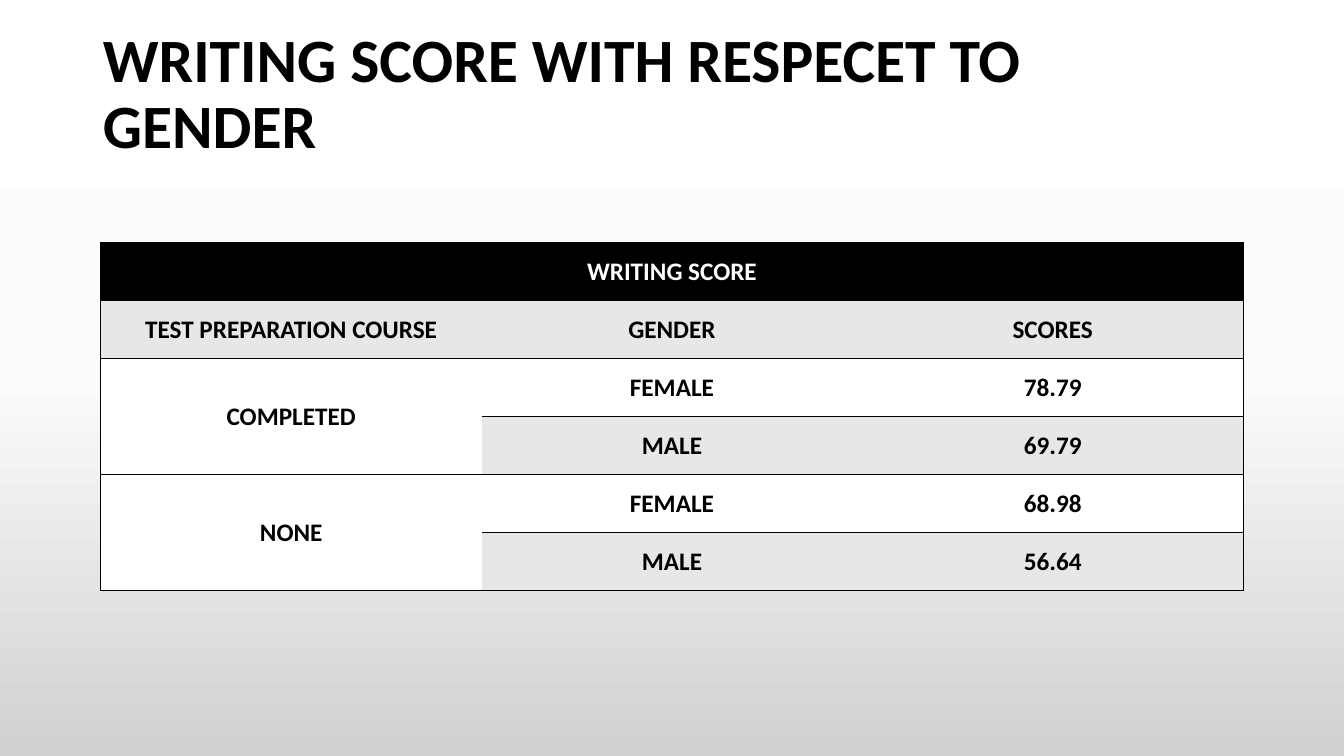
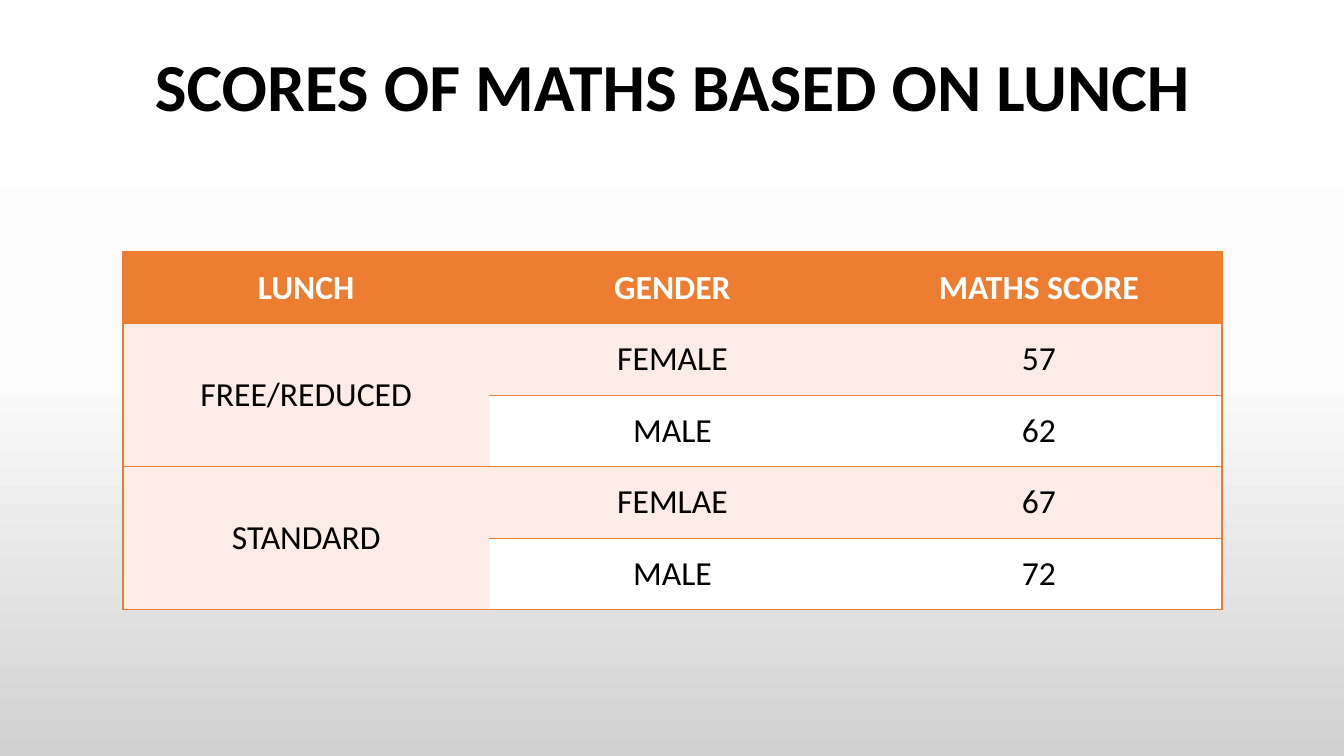
from lxml import etree
from pptx import Presentation
from pptx.dml.color import RGBColor
from pptx.enum import text
from pptx.oxml import parse_xml
from pptx.oxml.ns import nsdecls, qn
from pptx.util import Inches, Pt

FONT = "Calibri"
BLACK = RGBColor(0x00, 0x00, 0x00)
WHITE = RGBColor(0xFF, 0xFF, 0xFF)
GREY = RGBColor(0xE7, 0xE7, 0xE7)
ORANGE = RGBColor(0xED, 0x7D, 0x31)
PEACH = RGBColor(0xFC, 0xEC, 0xE8)
BACKGROUND = [(0, WHITE), (50, RGBColor(0xFB, 0xFB, 0xFB)), (100, RGBColor(0xD1, 0xD1, 0xD1))]

# None marks a cell covered by its neighbour: above in the first column, left elsewhere.
SLIDES = [
    dict(
        title="WRITING SCORE WITH RESPECET TO GENDER",
        title_size=44, title_height=1.1, title_align=text.PP_ALIGN.LEFT,
        left=1, top=2.41, width=11.33, row_height=0.575,
        size=18, bold_body=True, accent=BLACK, bands=(GREY, WHITE),
        rows=[
            ("WRITING SCORE", None, None),
            ("TEST PREPARATION COURSE", "GENDER", "SCORES"),
            ("COMPLETED", "FEMALE", "78.79"),
            (None, "MALE", "69.79"),
            ("NONE", "FEMALE", "68.98"),
            (None, "MALE", "56.64"),
        ],
    ),
    dict(
        title="SCORES OF MATHS BASED ON LUNCH",
        title_size=48, title_height=0.98, title_align=text.PP_ALIGN.CENTER,
        left=1.22, top=2.5, width=10.9, row_height=0.71,
        size=24, bold_body=False, accent=ORANGE, bands=(PEACH, WHITE),
        rows=[
            ("LUNCH", "GENDER", "MATHS SCORE"),
            ("FREE/REDUCED", "FEMALE", "57"),
            (None, "MALE", "62"),
            ("STANDARD", "FEMLAE", "67"),
            (None, "MALE", "72"),
        ],
    ),
]


def set_background(master):
    stops = "".join(f'<a:gs pos="{pos * 1000}"><a:srgbClr val="{color}"/></a:gs>'
                    for pos, color in BACKGROUND)
    c_sld = master.element.find(qn("p:cSld"))
    for old in c_sld.findall(qn("p:bg")):
        c_sld.remove(old)
    c_sld.insert(0, parse_xml(
        f'<p:bg {nsdecls("p", "a")}><p:bgPr><a:gradFill rotWithShape="1">'
        f'<a:gsLst>{stops}</a:gsLst><a:lin ang="5400000" scaled="0"/>'
        '</a:gradFill><a:effectLst/></p:bgPr></p:bg>'))


def write(tf, words, size, color, bold, align):
    p = tf.paragraphs[0]
    p.alignment = align
    r = p.add_run()
    r.text = words
    r.font.name, r.font.size, r.font.bold = FONT, Pt(size), bold
    r.font.color.rgb = color
    return p


def add_title(slide, data):
    sp = slide.shapes.title
    sp.left, sp.top = Inches(0.92), Inches(0.4)
    sp.width, sp.height = Inches(11.5), Inches(data["title_height"])
    tf = sp.text_frame
    tf.word_wrap = True
    tf.auto_size = text.MSO_AUTO_SIZE.NONE
    tf.vertical_anchor = text.MSO_ANCHOR.MIDDLE
    p = write(tf, data["title"], data["title_size"], BLACK, True, data["title_align"])
    p.line_spacing = 0.9


def set_borders(cell, color, sides):
    """Draw the sides named by the letters in sides and clear the others."""
    tc_pr = cell._tc.get_or_add_tcPr()
    for i, side in enumerate("LRTB"):
        ln = etree.Element(qn(f"a:ln{side}"), w=str(Pt(1)))
        if side in sides:
            fill = etree.SubElement(ln, qn("a:solidFill"))
            etree.SubElement(fill, qn("a:srgbClr"), val=str(color))
        else:
            etree.SubElement(ln, qn("a:noFill"))
        tc_pr.insert(i, ln)


def add_score_table(slide, data):
    rows, accent = data["rows"], data["accent"]
    n_rows, n_cols = len(rows), len(rows[0])
    frame = slide.shapes.add_table(
        n_rows, n_cols, Inches(data["left"]), Inches(data["top"]),
        Inches(data["width"]), Inches(data["row_height"] * n_rows))
    table = frame.table
    table.first_row = table.horz_banding = False

    for i, row in enumerate(rows):
        if row[0] is None:
            table.cell(i - 1, 0).merge(table.cell(i, 0))
        elif row[1] is None:
            table.cell(i, 0).merge(table.cell(i, n_cols - 1))

    for i, row in enumerate(rows):
        header = i == 0
        for j, words in enumerate(row):
            cell = table.cell(i, j)
            band = 0 if j == 0 and not cell.is_spanned and i > 1 else None
            cell.fill.solid()
            if band is not None:
                # A merged label keeps the band of its first row.
                cell.fill.fore_color.rgb = data["bands"][(i - 1) % 2]
            else:
                cell.fill.fore_color.rgb = accent if header else data["bands"][(i - 1) % 2]
            sides = "B" if cell.is_spanned else "TB"
            sides += "L" if j == 0 else ""
            sides += "R" if j + cell.span_width == n_cols else ""
            set_borders(cell, accent, sides)
            if words is not None:
                cell.vertical_anchor = text.MSO_ANCHOR.MIDDLE
                write(cell.text_frame, words, data["size"], WHITE if header else BLACK,
                      header or data["bold_body"], text.PP_ALIGN.CENTER)


def main():
    prs = Presentation()
    prs.slide_width, prs.slide_height = Inches(13.33), Inches(7.5)
    set_background(prs.slide_master)
    for data in SLIDES:
        slide = prs.slides.add_slide(prs.slide_layouts.get_by_name("Title Only"))
        add_title(slide, data)
        add_score_table(slide, data)
    prs.save("out.pptx")


if __name__ == "__main__":
    main()
